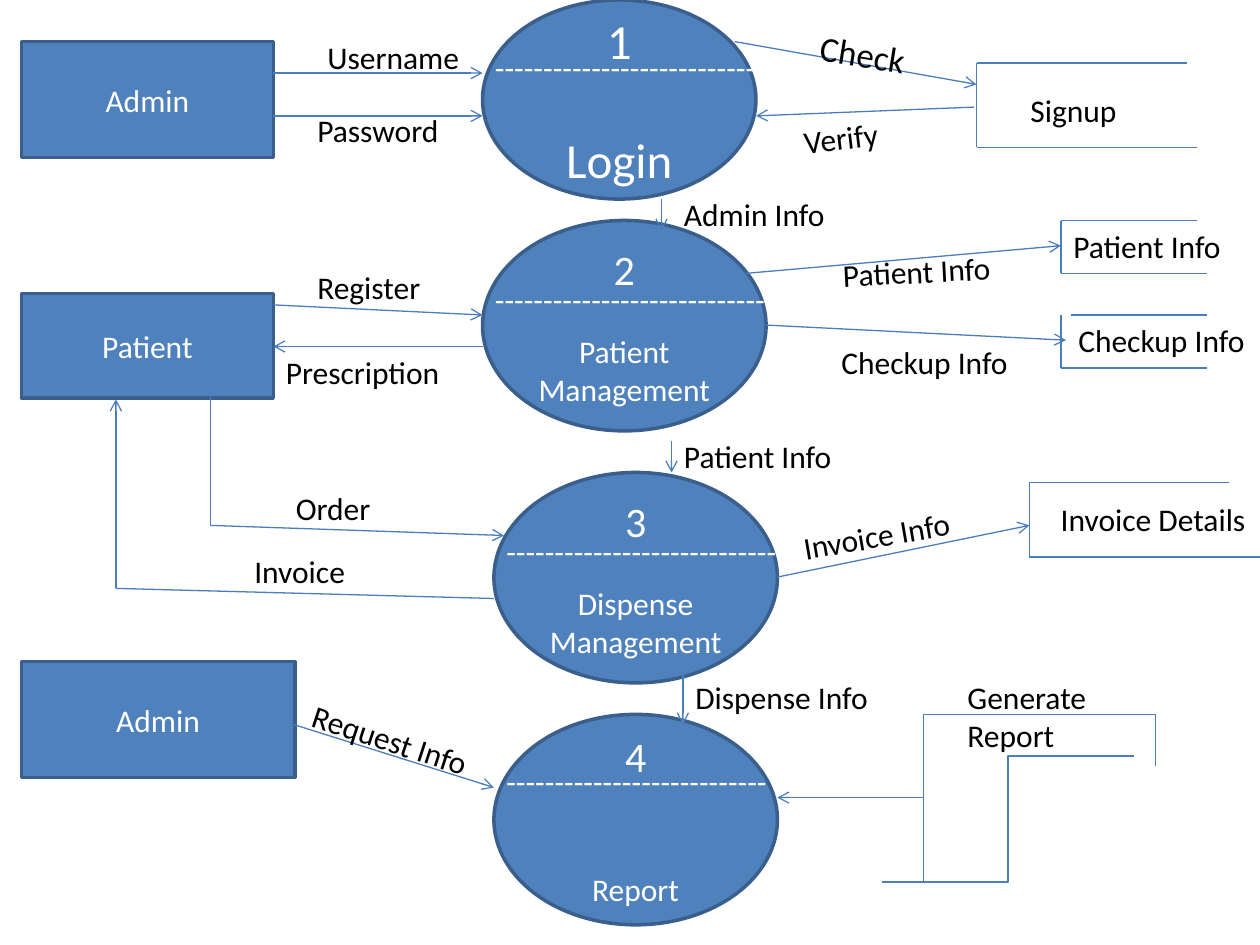
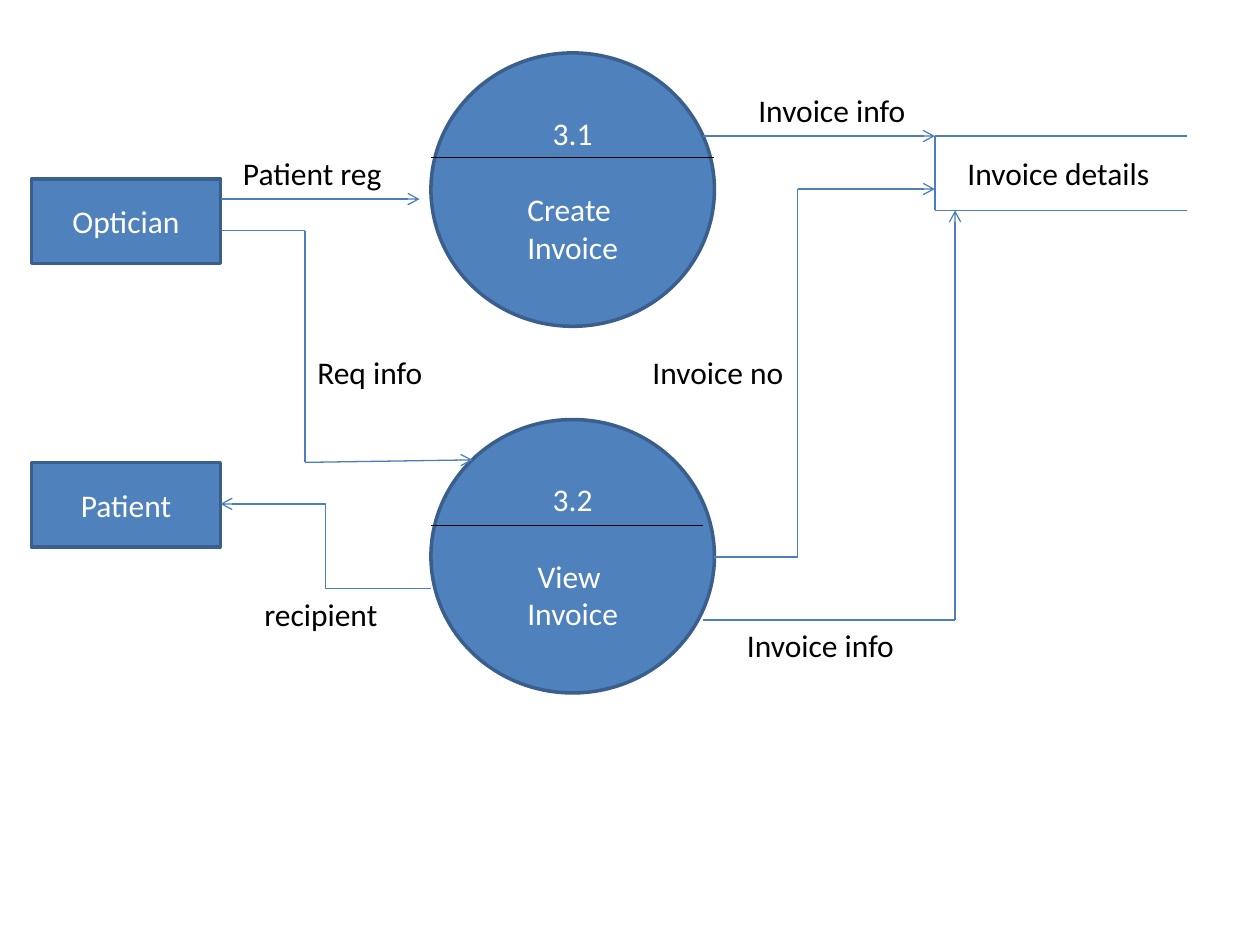
from lxml.etree import SubElement
from pptx import Presentation
from pptx.dml.color import RGBColor
from pptx.enum.shapes import MSO_CONNECTOR as Connector, MSO_SHAPE as Shape
from pptx.enum.text import MSO_ANCHOR as Anchor, MSO_AUTO_SIZE as AutoSize, PP_ALIGN as Align
from pptx.oxml.ns import qn
from pptx.util import Inches, Pt

COLORS = {"fill": "4F81BD", "border": "3A5F8C", "flow": "4B7EBC",
          "light": "FFFFFF", "dark": "000000"}
FONT = "Calibri"


def color(name):
    """Return a palette colour."""
    return RGBColor.from_string(COLORS[name])


def apply(target, values):
    """Set several attributes on one object."""
    for name, value in values.items():
        setattr(target, name, value)


def write(frame, lines, ink, align=Align.LEFT):
    """Fill a text frame; each line is (text, size, space before)."""
    for index, (text, size, gap) in enumerate(lines):
        paragraph = frame.paragraphs[0] if index == 0 else frame.add_paragraph()
        apply(paragraph, {"alignment": align, "space_before": Pt(gap)})
        run = paragraph.add_run()
        run.text = text
        apply(run.font, {"name": FONT, "size": Pt(size)})
        run.font.color.rgb = color(ink)


def add_node(slide, kind, box, lines):
    """Add a filled shape with centred text."""
    shape = slide.shapes.add_shape(kind, *map(Inches, box))
    shape.shadow.inherit = False
    shape.fill.solid()
    shape.fill.fore_color.rgb = color("fill")
    shape.line.color.rgb = color("border")
    shape.line.width = Pt(2)
    apply(shape.text_frame, {"vertical_anchor": Anchor.MIDDLE, "word_wrap": True})
    write(shape.text_frame, lines, "light", Align.CENTER)


def add_entity(slide, name, *box):
    """Add the rectangle of an external entity."""
    add_node(slide, Shape.RECTANGLE, box, [(name, 18, 0)])


def add_process(slide, number, names, box, sizes=(24, 18), gap=22):
    """Add a process ellipse: its number, a gap, then its name."""
    lines = [(number, sizes[0], 0)]
    lines += [(name, sizes[1], 0 if index else gap) for index, name in enumerate(names)]
    add_node(slide, Shape.OVAL, box, lines)


def add_label(slide, text, left, top, width, height=0.4, rotation=0,
              size=18, wrap=False, ink="dark"):
    """Add a text box, one paragraph per line of text."""
    box = slide.shapes.add_textbox(*map(Inches, (left, top, width, height)))
    box.rotation = rotation
    apply(box.text_frame, {"word_wrap": wrap, "auto_size": AutoSize.SHAPE_TO_FIT_TEXT})
    write(box.text_frame, [(line, size, 0) for line in text.split("\n")], ink)


def add_line(slide, start, end, arrow=False, ink="flow", kind=Connector.STRAIGHT):
    """Add one connector, with an open arrowhead at its end on request."""
    line = slide.shapes.add_connector(kind, *map(Inches, (*start, *end)))
    line.line.color.rgb = color(ink)
    line.line.width = Pt(0.75)
    if arrow:
        SubElement(line.line._get_or_add_ln(), qn("a:tailEnd"), type="arrow")
    SubElement(line._element.spPr, qn("a:effectLst"))
    return line


def add_route(slide, *points, arrow=True):
    """Join points with straight lines; the last one may carry the arrow."""
    last = len(points) - 2
    for index, (start, end) in enumerate(zip(points, points[1:])):
        add_line(slide, start, end, arrow and index == last)


def add_store(slide, left, top, bottom, right_top, right_bottom, left_top=None):
    """Add a data store, open on its right side."""
    add_line(slide, (left_top or left, top), (right_top, top))
    add_line(slide, (left, top), (left, bottom))
    add_line(slide, (left, bottom), (right_bottom, bottom))


def add_curve(slide, start, segments, steps=12):
    """Add an open outline through cubic Bezier segments."""
    points, origin = [], start
    for first, second, end in segments:
        for step in range(1, steps + 1):
            t = step / steps
            weights = ((1 - t) ** 3, 3 * t * (1 - t) ** 2, 3 * t * t * (1 - t), t ** 3)
            points.append(tuple(
                sum(weight * point[axis] for weight, point
                    in zip(weights, (origin, first, second, end)))
                for axis in (0, 1)))
        origin = end
    builder = slide.shapes.build_freeform(*start, scale=Inches(1))
    builder.add_line_segments(points, close=False)
    shape = builder.convert_to_shape()
    shape.shadow.inherit = False
    shape.fill.background()
    shape.line.color.rgb = color("flow")
    shape.line.width = Pt(0.75)


def build_overview(slide):
    """Draw the four main processes with their entities and stores."""
    add_process(slide, "1", ["Login"], (3.83, 0, 2.17, 1.58), (28, 28), 34)
    add_process(slide, "2", ["Patient", "Management"], (3.83, 1.75, 2.25, 1.67))
    add_process(slide, "3", ["Dispense", "Management"], (3.92, 3.75, 2.25, 1.67))
    add_process(slide, "4", ["Report"], (3.92, 5.67, 2.25, 1.67), gap=51)
    add_entity(slide, "Admin", 0.17, 0.33, 2, 0.92)
    add_entity(slide, "Patient", 0.17, 2.33, 2, 0.83)
    add_entity(slide, "Admin", 0.17, 5.25, 2.17, 0.92)

    add_store(slide, 7.75, 0.5, 1.17, 9.42, 9.5)
    add_store(slide, 8.42, 1.75, 2.17, 9.5, 9.58)
    add_store(slide, 8.42, 2.5, 2.92, 9.58, 9.58, left_top=8.5)
    add_store(slide, 8.17, 3.83, 4.42, 9.75, 10)
    add_route(slide, (7.33, 7), (7.33, 5.67), (9.17, 5.67), (9.17, 6.08), arrow=False)
    add_curve(slide, (7.33, 6.99), [
        ((7.56, 6.99), (7.8, 6.99), (7.99, 6.84)),
        ((8.19, 6.68), (8.31, 6.17), (8.49, 6.04)),
        ((8.67, 5.92), (8.98, 6.07), (9.07, 6.07)),
        ((9.17, 6.08), (9.11, 6.08), (9.06, 6.07))])

    for route in (
            [(2.17, 0.58), (3.83, 0.58)],
            [(2.17, 0.92), (3.83, 0.92)],
            [(5.83, 0.33), (7.75, 0.67)],
            [(7.73, 0.85), (6, 0.92)],
            [(5.25, 1.58), (5.25, 1.83)],
            [(2.17, 2.42), (3.83, 2.5)],
            [(3.83, 2.75), (2.17, 2.75)],
            [(1.67, 3.08), (1.67, 4.17), (4, 4.25)],
            [(3.92, 4.75), (0.92, 4.67), (0.92, 3.17)],
            [(5.33, 3.5), (5.33, 3.75)],
            [(5.42, 5.33), (5.42, 5.75)],
            [(2.33, 5.75), (3.92, 6.25)],
            [(5.92, 2.17), (8.42, 1.95)],
            [(6.08, 2.58), (8.46, 2.7)],
            [(6.17, 4.58), (8.17, 4.17)],
            [(7.33, 6.33), (6.17, 6.33)]):
        add_route(slide, *route)

    for text, left, top, width in (
            ("Username", 2.5, 0.25, 1.26),
            ("Password", 2.42, 0.83, 1.17),
            ("Signup", 8.08, 0.67, 0.89),
            ("Order", 2.25, 3.83, 0.8),
            ("Invoice", 1.92, 4.33, 0.93),
            ("Patient Info", 5.33, 3.42, 1.39),
            ("Dispense Info", 5.42, 5.33, 1.59),
            ("Patient Info", 8.42, 1.75, 1.38),
            ("Checkup Info", 8.46, 2.5, 1.54),
            ("Checkup Info", 6.58, 2.67, 1.54)):
        add_label(slide, text, left, top, width)
    for text, left, top, width in (
            ("Register", 2.42, 2.08, 1.17),
            ("Prescription", 2.17, 2.75, 1.58),
            ("Admin Info", 5.33, 1.5, 1.33),
            ("Invoice Details", 8.32, 3.92, 1.68)):
        add_label(slide, text, left, top, width, wrap=True)
    add_label(slide, "Generate \nReport", 7.58, 5.33, 1.21, 0.71)
    add_label(slide, "Check", 6.41, 0.21, 0.89, 0.44, rotation=9.2, size=20)
    for text, left, top, width, rotation in (
            ("Verify", 6.28, 0.89, 0.8, 353.2),
            ("Request Info", 2.36, 5.67, 1.49, 18.1),
            ("Patient Info", 6.59, 1.95, 1.39, 357),
            ("Invoice Info ", 6.27, 4.04, 1.48, 350.2)):
        add_label(slide, text, left, top, width, rotation=rotation)
    for dashes, left, top, width, wrap in (
            (27, 3.83, 0.33, 2.33, True),
            (28, 3.83, 2.17, 2.36, False),
            (28, 3.92, 4.17, 2.36, False),
            (27, 3.92, 6, 2.28, False)):
        add_label(slide, "-" * dashes, left, top, width, wrap=wrap, ink="light")


def build_invoicing(slide):
    """Draw the invoice processes in detail."""
    add_entity(slide, "Optician", 0.25, 1.42, 1.5, 0.67)
    add_entity(slide, "Patient", 0.25, 3.67, 1.5, 0.67)
    for number, verb, top, divider, right in (
            ("3.1", "Create ", 0.42, 1.25, 5.67),
            ("3.2", "View ", 3.33, 4.17, 5.58)):
        add_process(slide, number, [verb, "Invoice"], (3.42, top, 2.25, 2.17), (18, 18))
        add_line(slide, (3.42, divider), (right, divider), ink="dark")
    add_store(slide, 7.42, 1.08, 1.67, 9.42, 9.42)

    add_line(slide, (3.42, 4.67), (1.75, 4), arrow=True, kind=Connector.ELBOW)
    corner = add_line(slide, (5.67, 4.42), (6.33, 1.5), kind=Connector.ELBOW)
    corner._element.spPr.find(qn("a:prstGeom")).set("prst", "bentConnector2")
    for route in (
            [(1.75, 1.58), (3.33, 1.58)],
            [(1.75, 1.83), (2.42, 1.83), (2.42, 3.67), (3.75, 3.65)],
            [(5.58, 1.08), (7.42, 1.08)],
            [(6.33, 1.5), (7.42, 1.5)],
            [(5.58, 4.92), (7.58, 4.92), (7.58, 1.67)]):
        add_route(slide, *route)

    for text, left, top, width in (
            ("Invoice details", 7.58, 1.17, 1.66),
            ("Patient reg", 1.83, 1.17, 1.32),
            ("Req info", 2.42, 2.75, 1.05),
            ("Invoice no", 5.08, 2.75, 1.25),
            ("Invoice info", 5.92, 0.67, 1.38),
            ("Invoice info", 5.83, 4.92, 1.38),
            ("recipient", 2, 4.67, 1.11)):
        add_label(slide, text, left, top, width)


def main():
    """Build and save the presentation."""
    presentation = Presentation()
    apply(presentation, {"slide_width": Inches(10), "slide_height": Inches(7.5)})
    for build in (build_overview, build_invoicing):
        build(presentation.slides.add_slide(presentation.slide_layouts[6]))
    presentation.save("out.pptx")


main()
